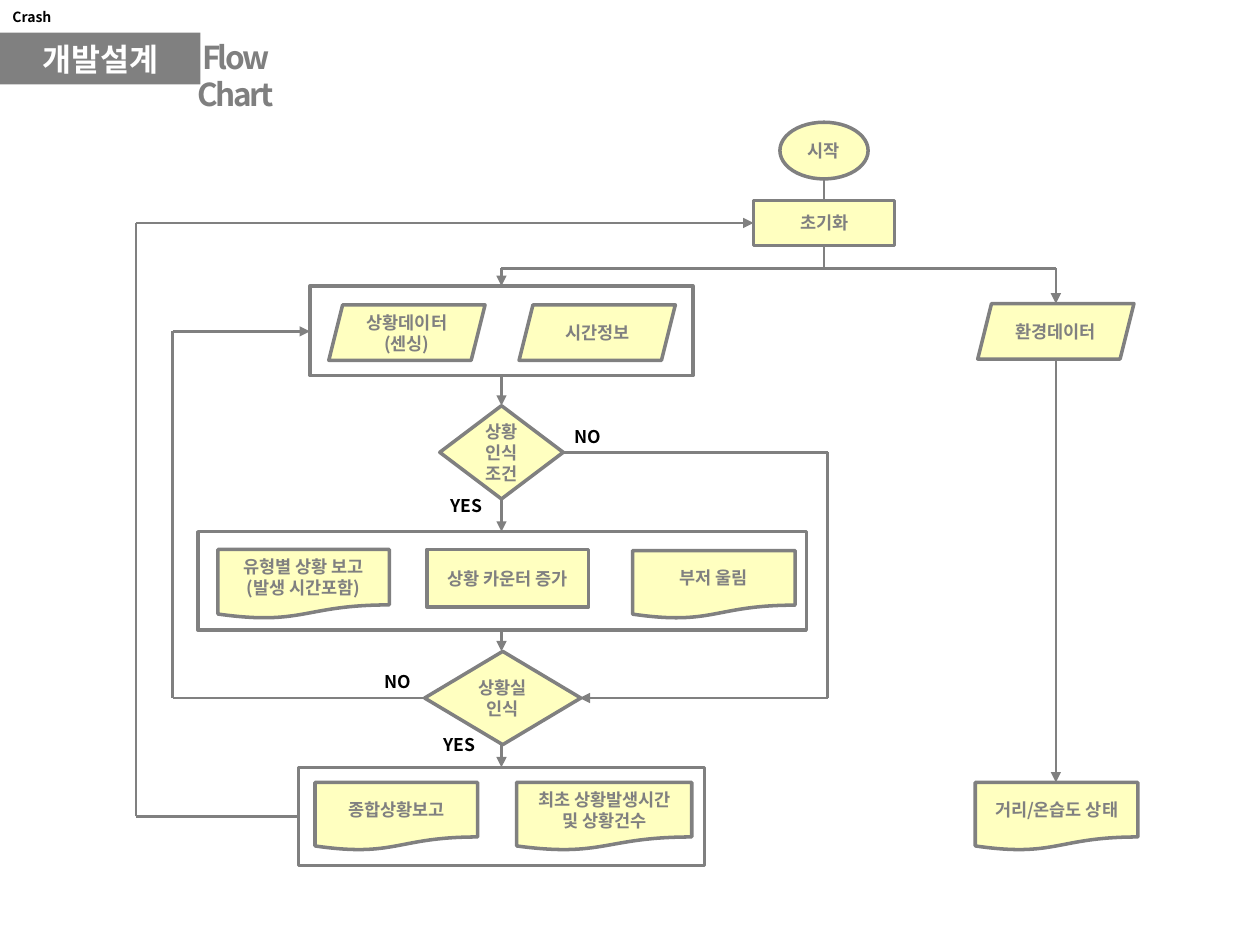
import pptx
import pptx.dml.color
import pptx.enum.shapes
import pptx.enum.text
import pptx.oxml
import pptx.oxml.ns
import pptx.util
from lxml import etree

SHAPE = pptx.enum.shapes.MSO_SHAPE
ALIGN = pptx.enum.text.PP_ALIGN
FONT = "Noto Sans CJK KR"
GREY, CREAM, BLACK, WHITE = "808080", "FFFFC0", "000000", "FFFFFF"
COLUMNS, ROWS = 100, 75
CELL = pptx.util.Inches(0.1)


def cells(*counts):
    """Turn counts of grid cells into lengths."""
    return [round(count * CELL) for count in counts]


def paint(color_format, color):
    """Apply a hex colour to a font, fill or line colour."""
    color_format.rgb = pptx.dml.color.RGBColor.from_string(color)


def write(frame, lines, size, color, align):
    """Write each line as a paragraph with one bold run."""
    frame.word_wrap = True
    for index, line in enumerate(lines):
        paragraph = frame.add_paragraph() if index else frame.paragraphs[0]
        paragraph.alignment = align
        run = paragraph.add_run()
        run.text = line
        run.font.size = pptx.util.Pt(size)
        run.font.bold = True
        run.font.name = FONT
        paint(run.font.color, color)
        east_asian = etree.SubElement(run.font._element, pptx.oxml.ns.qn("a:ea"))
        east_asian.set("typeface", FONT)


def add_node(slide, kind, place, *lines, fill=CREAM, border=GREY, size=10, color=GREY):
    """Add a flow chart shape with centred text."""
    node = slide.shapes.add_shape(kind, *cells(*place))
    node.shadow.inherit = False
    if fill:
        node.fill.solid()
        paint(node.fill.fore_color, fill)
    else:
        node.fill.background()
    if border:
        paint(node.line.color, border)
        node.line.width = pptx.util.Pt(2)
    else:
        node.line.fill.background()
    node.text_frame.vertical_anchor = pptx.enum.text.MSO_ANCHOR.MIDDLE
    write(node.text_frame, lines, size, color, ALIGN.CENTER)


def add_label(slide, place, text, size=10, color=BLACK, align=ALIGN.LEFT):
    """Add a plain text box and return its text frame."""
    frame = slide.shapes.add_textbox(*cells(*place)).text_frame
    write(frame, [text], size, color, align)
    return frame


def add_route(slide, *stops, arrow=True):
    """Join the stops with straight lines, the last one with an arrowhead."""
    for start, end in zip(stops, stops[1:]):
        leg = slide.shapes.add_connector(
            pptx.enum.shapes.MSO_CONNECTOR.STRAIGHT, *cells(*start, *end))
        paint(leg.line.color, GREY)
        leg.line.width = pptx.util.Pt(1.5)
        if arrow and end == stops[-1]:
            tail = etree.SubElement(leg.line._get_or_add_ln(), pptx.oxml.ns.qn("a:tailEnd"))
            tail.set("type", "triangle")
        etree.SubElement(leg._element.spPr, pptx.oxml.ns.qn("a:effectLst"))


def add_heading(slide):
    """Add the project name, the section band and the slide title."""
    title = add_label(slide, (14.7, 2.5, 13.5, 4), " Flow Chart", 18, "7F7F7F")
    title.paragraphs[0].runs[0].font._element.set("spc", "-150")
    add_label(slide, (0, 0.2, 15.9, 2.4), "Crash", 8, align=ALIGN.JUSTIFY)
    add_node(slide, SHAPE.RECTANGLE, (0, 2.6, 15.9, 4.1), "개발설계",
             fill=GREY, border=None, size=18, color=WHITE)


def add_steps(slide):
    """Add the group frames and every step of the flow."""
    for frame in ((24.6, 22.7, 30.4, 7.1), (15.7, 42.2, 48.3, 7.8), (23.7, 60.9, 32.2, 7.8)):
        add_node(slide, SHAPE.RECTANGLE, frame, fill=None)
    data, report = SHAPE.PARALLELOGRAM, SHAPE.FLOWCHART_DOCUMENT
    decision, process = SHAPE.FLOWCHART_DECISION, SHAPE.RECTANGLE
    add_node(slide, SHAPE.OVAL, (61.9, 9.7, 7, 4.5), "시작")
    add_node(slide, process, (59.8, 15.9, 11.2, 3.6), "초기화")
    add_node(slide, data, (26.1, 24.2, 12.4, 4.4), "상황데이터(센싱)")
    add_node(slide, data, (41.2, 24.2, 12.4, 4.4), "시간정보")
    add_node(slide, data, (77.6, 24.1, 12.4, 4.4), "환경데이터")
    add_node(slide, decision, (34.9, 32.2, 9.8, 7.4), "상황인식조건")
    add_node(slide, report, (17.3, 43.6, 13.6, 5.5), "유형별 상황 보고", "(발생 시간포함)")
    add_node(slide, process, (33.9, 43.6, 12.8, 4.6), "상황 카운터 증가")
    add_node(slide, report, (50.2, 43.7, 12.9, 5.4), "부저 울림")
    add_node(slide, decision, (33.7, 51.7, 12.4, 7.4), "상황실", "인식")
    add_node(slide, report, (25, 62.1, 12.9, 5.4), "종합상황보고")
    add_node(slide, report, (41, 62.1, 13.9, 5.4), "최초 상황발생시간 및 상황건수")
    add_node(slide, report, (77.4, 62.1, 12.9, 5.4), "거리/온습도 상태")


def add_flow(slide):
    """Add the routes between the steps and their answers."""
    start, main_line, sensors = 65.4, 39.8, 83.8
    split, first_test, second_test = 21.3, 35.9, 55.4
    add_route(slide, (start, 14.3), (start, 15.9), arrow=False)
    add_route(slide, (start, 19.5), (start, split), arrow=False)
    add_route(slide, (start, split), (main_line, split), (main_line, 22.7))
    add_route(slide, (start, split), (sensors, split), (sensors, 24.1))
    add_route(slide, (sensors, 28.5), (sensors, 62.1))
    for top, bottom in ((29.8, 32.2), (39.6, 42.2), (50, 51.7), (59.1, 60.9)):
        add_route(slide, (main_line, top), (main_line, bottom))
    add_route(slide, (44.6, first_test), (65.7, first_test),
              (65.7, second_test), (46, second_test))
    add_route(slide, (33.7, second_test), (13.7, second_test), (13.7, 26.3), (24.6, 26.3))
    add_route(slide, (23.7, 64.8), (10.8, 64.8), (10.8, 17.7), (59.8, 17.7))
    for left, top, answer in ((29.5, 52.8, "NO"), (34.2, 57.8, "YES"),
                              (34.8, 38.8, "YES"), (44.6, 33.3, "NO")):
        add_label(slide, (left, top, 5.5, 2.7), answer)


def main():
    """Build the flow chart slide and save it."""
    deck = pptx.Presentation()
    deck.slide_width, deck.slide_height = cells(COLUMNS, ROWS)
    slide = deck.slides.add_slide(deck.slide_layouts[6])
    add_heading(slide)
    add_steps(slide)
    add_flow(slide)
    deck.save("out.pptx")


if __name__ == "__main__":
    main()
